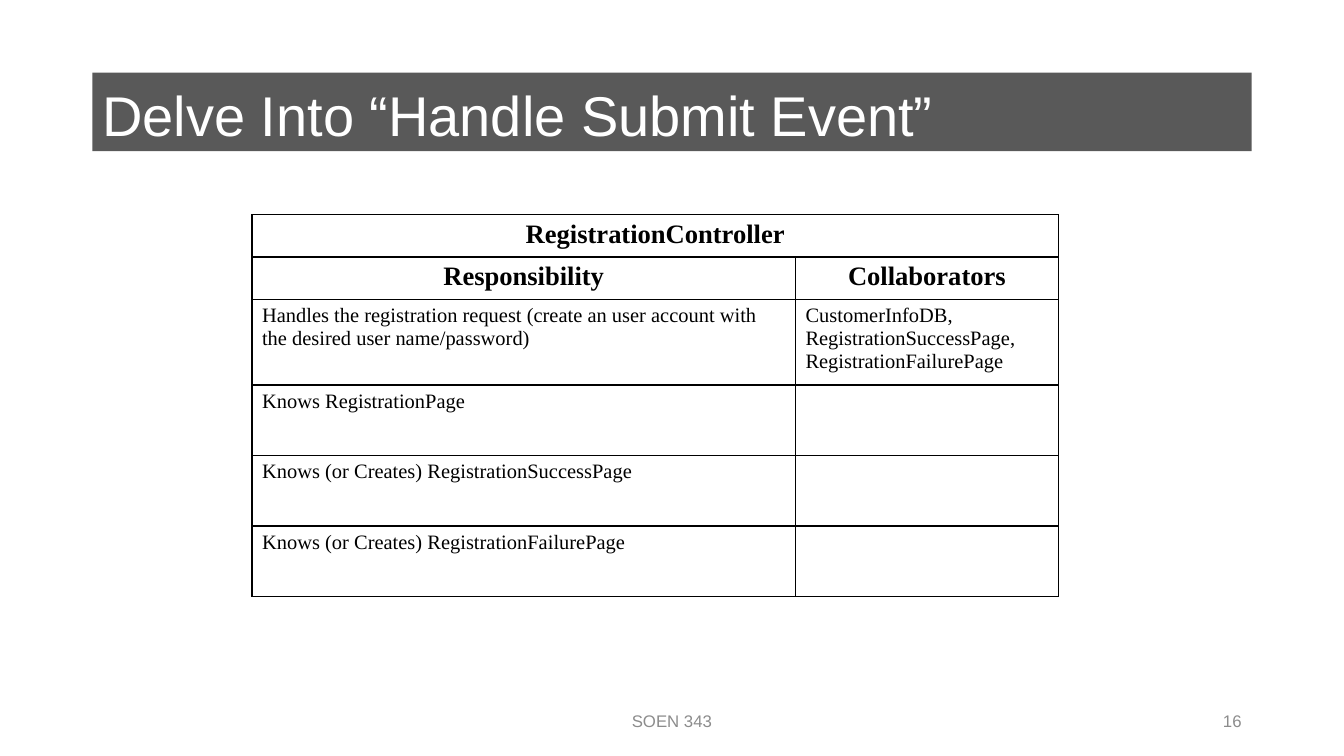
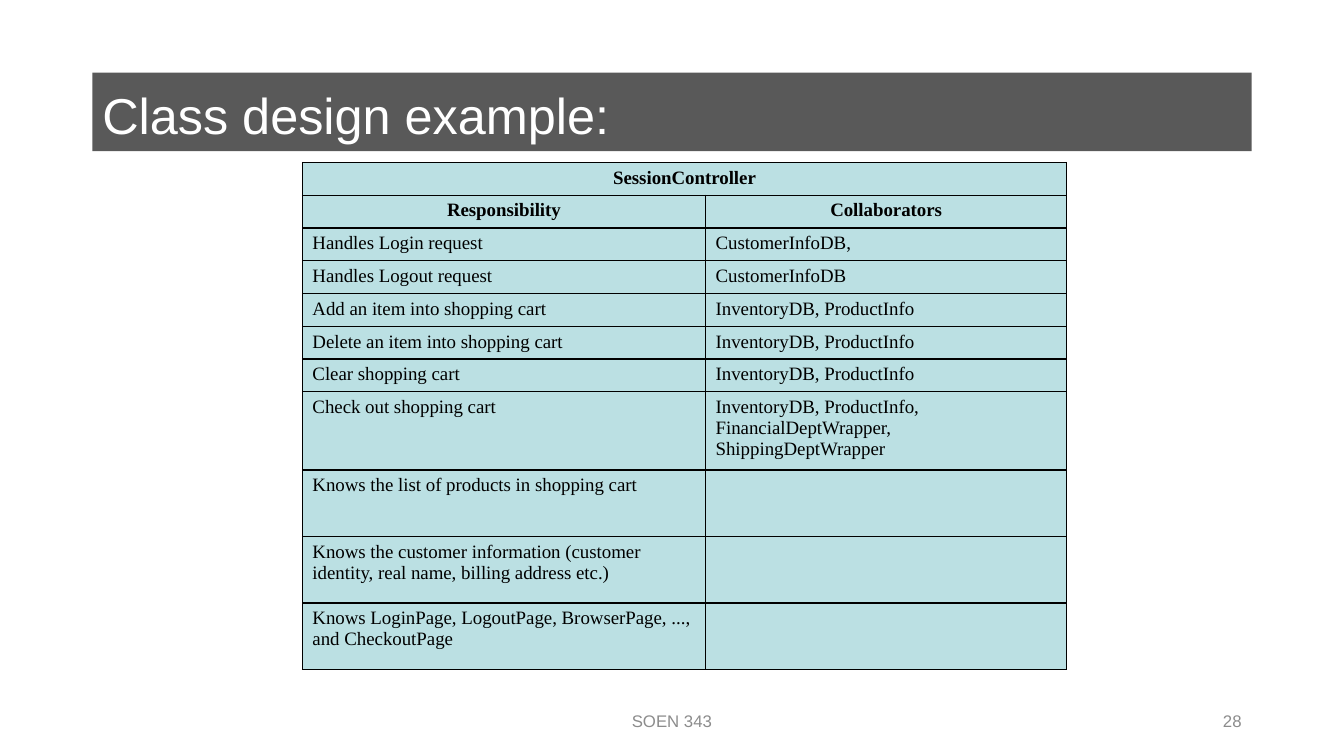
import pptx
import pptx.util
import pptx.dml.color
import pptx.enum.shapes
import pptx.enum.text
import pptx.oxml
import pptx.oxml.ns
import lxml.etree

HUES = {"ink": "000000", "paper": "FFFFFF", "foot": "8C8C8C", "aqua": "BBE0E3"}
SANS, SERIF = "Arial", "Times New Roman"
ALIGN = pptx.enum.text.PP_ALIGN
MID = pptx.enum.text.MSO_ANCHOR.MIDDLE
COLS = 160
BAND = (11, 8.64, 138, 9.36)
TITLE = (11, 8.64, 137, 9.96)
COURSE = (53, 83.4, 54, 4.8)
PAGE = (113, 83.4, 36, 4.8)

deck = pptx.Presentation()
deck.slide_width = pptx.util.Inches(13.333)
deck.slide_height = pptx.util.Inches(7.5)
unit = deck.slide_width / COLS


def grid(*steps):
    return [pptx.util.Emu(round(step * unit)) for step in steps]


def write(frame, words, face, size, hue, align=ALIGN.LEFT, bold=False):
    frame.word_wrap = True
    para = frame.paragraphs[0]
    para.alignment = align
    run = para.add_run()
    run.text = words
    style = {"name": face, "size": pptx.util.Pt(size), "bold": bold}
    for key, value in style.items():
        setattr(run.font, key, value)
    run.font.color.rgb = pptx.dml.color.RGBColor.from_string(HUES[hue])


pages = [
    {
        "title": "Delve Into “Handle Submit Event”", "size": 40, "page": "16",
        "spot": (30, 25.56), "cols": (64.7, 31.3), "head": 19, "body": 14.6,
        "fill": None, "rows": [5.04] * 2 + [10.2] + [8.4] * 3,
        "cells": [
            ("RegistrationController", ""),
            ("Responsibility", "Collaborators"),
            ("Handles the registration request (create an user account with "
             "the desired user name/password)",
             "CustomerInfoDB, RegistrationSuccessPage, RegistrationFailurePage"),
            ("Knows RegistrationPage", ""),
            ("Knows (or Creates) RegistrationSuccessPage", ""),
            ("Knows (or Creates) RegistrationFailurePage", ""),
        ],
    },
    {
        "title": "Class design example:", "size": 36, "page": "28",
        "spot": (36, 19.33), "cols": (48, 43), "head": 13.5, "body": 13.5,
        "fill": "aqua", "rows": [3.72] * 7 + [8.9] + [7.92] * 3,
        "cells": [
            ("SessionController", ""),
            ("Responsibility", "Collaborators"),
            ("Handles Login request", "CustomerInfoDB,"),
            ("Handles Logout request", "CustomerInfoDB"),
            ("Add an item into shopping cart", "InventoryDB, ProductInfo"),
            ("Delete an item into shopping cart", "InventoryDB, ProductInfo"),
            ("Clear shopping cart", "InventoryDB, ProductInfo"),
            ("Check out shopping cart",
             "InventoryDB, ProductInfo, FinancialDeptWrapper, ShippingDeptWrapper"),
            ("Knows the list of products in shopping cart", ""),
            ("Knows the customer information (customer identity, real name, "
             "billing address etc.)", ""),
            ("Knows LoginPage, LogoutPage, BrowserPage, ..., and CheckoutPage", ""),
        ],
    },
]

for page in pages:
    slide = deck.slides.add_slide(deck.slide_layouts[6])
    band = slide.shapes.add_shape(
        pptx.enum.shapes.MSO_SHAPE.RECTANGLE, *grid(*BAND))
    band.shadow.inherit = False
    band.line.fill.background()
    band.fill.solid()
    band.fill.fore_color.rgb = pptx.dml.color.RGBColor.from_string(HUES["ink"])
    tint = band.fill._xPr.find(".//" + pptx.oxml.ns.qn("a:srgbClr"))
    lxml.etree.SubElement(tint, pptx.oxml.ns.qn("a:alpha"), val="65000")

    for place, words, size, hue, align in [
        (TITLE, page["title"], page["size"], "paper", ALIGN.LEFT),
        (COURSE, "SOEN 343", 12, "foot", ALIGN.CENTER),
        (PAGE, page["page"], 12, "foot", ALIGN.RIGHT),
    ]:
        frame = slide.shapes.add_textbox(*grid(*place)).text_frame
        frame.vertical_anchor = MID
        write(frame, words, SANS, size, hue, align)

    size = (sum(page["cols"]), sum(page["rows"]))
    table = slide.shapes.add_table(
        len(page["rows"]), 2, *grid(*page["spot"], *size)).table
    for flag in ("first_row", "horz_banding"):
        setattr(table, flag, False)
    for col, width in zip(table.columns, grid(*page["cols"])):
        col.width = width
    for row, height in zip(table.rows, grid(*page["rows"])):
        row.height = height
    table.cell(0, 0).merge(table.cell(0, 1))

    for r, texts in enumerate(page["cells"]):
        head = r < 2
        for c, words in enumerate(texts):
            cell = table.cell(r, c)
            props = cell._tc.get_or_add_tcPr()
            for side in "LRTB":
                line = lxml.etree.SubElement(
                    props, pptx.oxml.ns.qn("a:ln" + side), w="12700")
                paint = lxml.etree.SubElement(line, pptx.oxml.ns.qn("a:solidFill"))
                lxml.etree.SubElement(
                    paint, pptx.oxml.ns.qn("a:srgbClr"), val=HUES["ink"])
            if page["fill"]:
                cell.fill.solid()
                cell.fill.fore_color.rgb = pptx.dml.color.RGBColor.from_string(
                    HUES[page["fill"]])
            else:
                cell.fill.background()
            if words:
                write(cell.text_frame, words, SERIF,
                      page["head" if head else "body"], "ink",
                      ALIGN.CENTER if head else ALIGN.LEFT, head)

deck.save("out.pptx")
